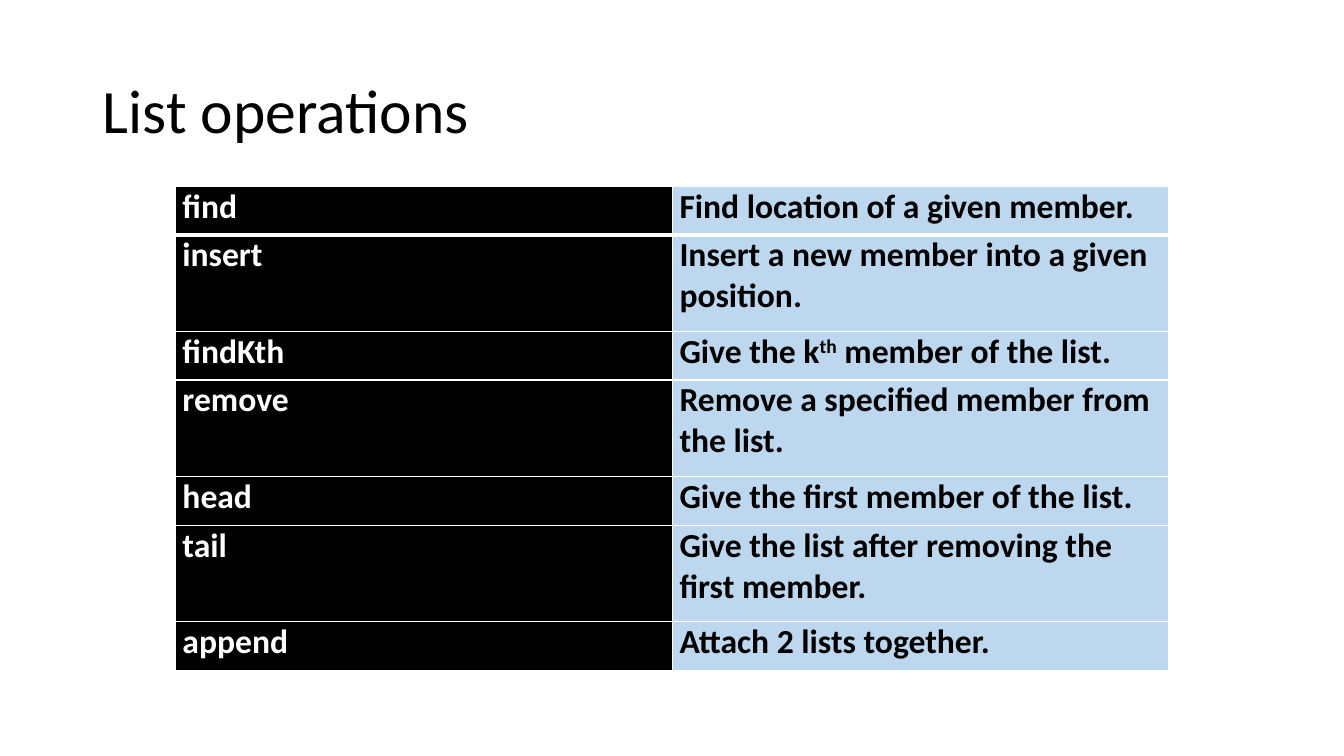
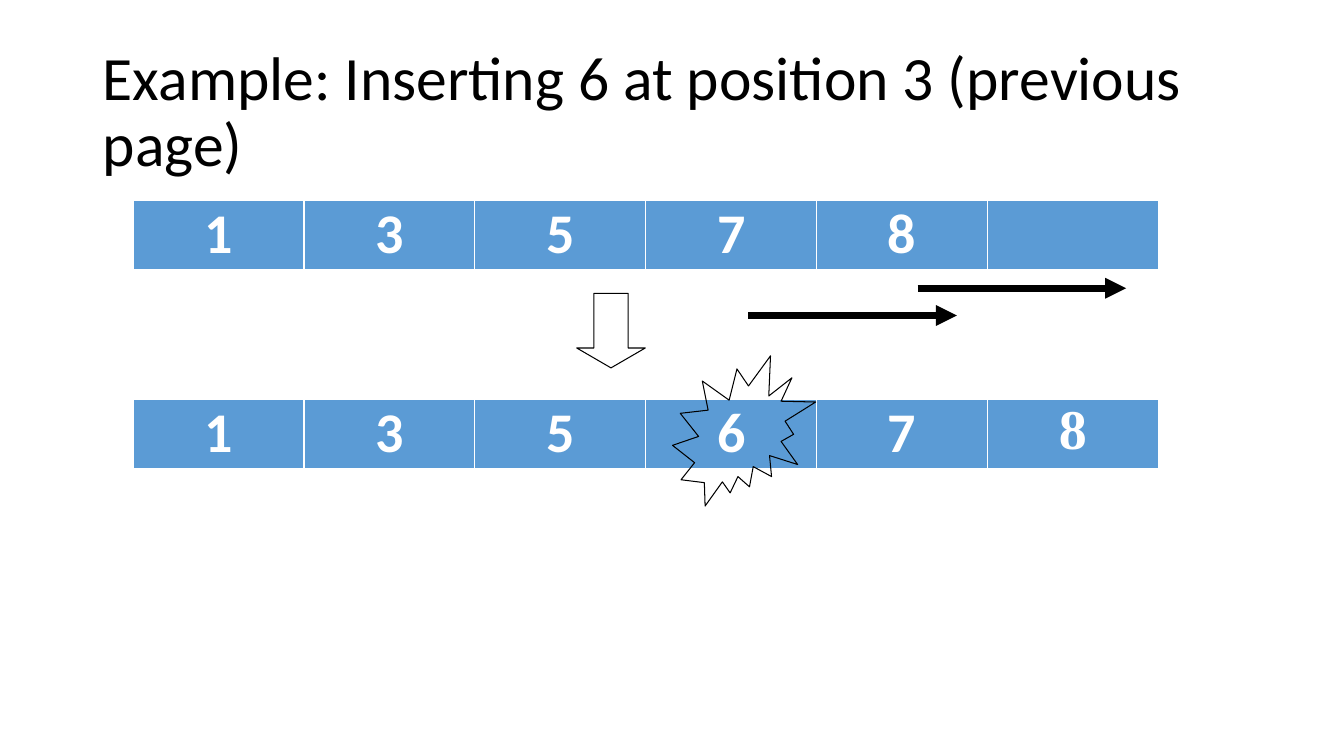
import pptx
import pptx.dml.color
import pptx.enum.dml
import pptx.enum.shapes
import pptx.enum.text
import pptx.oxml
import pptx.oxml.ns
import pptx.util

PX = 9144  # one px is a hundredth of an inch
BLACK, WHITE, BLUE, PALE_BLUE = "000000", "FFFFFF", "5B9BD5", "BDD7EE"
NAMESPACE = pptx.oxml.ns.nsdecls("a")
CENTER = pptx.enum.text.PP_ALIGN.CENTER
LEFT = pptx.enum.text.PP_ALIGN.LEFT


def color(hex_string):
    return pptx.dml.color.RGBColor.from_string(hex_string)


def add_grid(slide, left, top, widths, heights, cells, size, alignment):
    """Cells are rows of (text, fill, text colour, font); ^ marks encloses superscripts."""
    frame = slide.shapes.add_table(
        len(heights), len(widths), left * PX, top * PX, sum(widths), sum(heights))
    table = frame.table
    table.first_row = table.horz_banding = False
    for column, width in zip(table.columns, widths):
        column.width = width
    for row_index, (row, height) in enumerate(zip(table.rows, heights)):
        row.height = height
        for cell, (text, fill, text_color, font_name) in zip(row.cells, cells[row_index]):
            # White borders, heavier below the first row
            border_widths = {"L": 1, "R": 1, "T": 3 if row_index == 1 else 1,
                             "B": 3 if row_index == 0 else 1}
            properties = cell._tc.get_or_add_tcPr()
            for side, points in border_widths.items():
                properties.append(pptx.oxml.parse_xml(
                    f'<a:ln{side} {NAMESPACE} w="{pptx.util.Pt(points)}"><a:solidFill>'
                    f'<a:srgbClr val="{WHITE}"/></a:solidFill></a:ln{side}>'))
            cell.fill.solid()
            cell.fill.fore_color.rgb = color(fill)
            margins = {"margin_left": 7, "margin_right": 7, "margin_top": 0, "margin_bottom": 0}
            for name, value in margins.items():
                setattr(cell, name, value * PX)

            # Text, with every second part raised
            paragraph = cell.text_frame.paragraphs[0]
            paragraph.alignment = alignment
            for part_index, part in enumerate(text.split("^") if text else []):
                run = paragraph.add_run()
                run.text = part
                font_format = {"name": font_name, "size": pptx.util.Pt(size), "bold": True}
                for name, value in font_format.items():
                    setattr(run.font, name, value)
                run.font.color.rgb = color(text_color)
                if part_index % 2:
                    run._r.get_or_add_rPr().set("baseline", "30000")


presentation = pptx.Presentation()
presentation.slide_width = 1333 * PX
presentation.slide_height = 750 * PX

# Slides with their titles
slides = []
for title_text in ("List operations", "Example: Inserting 6 at position 3 (previous page)"):
    slide = presentation.slides.add_slide(presentation.slide_layouts[5])
    title = slide.shapes.title
    for name, value in {"left": 92, "top": 40, "width": 1150, "height": 145}.items():
        setattr(title, name, value * PX)
    title.text_frame.text = title_text
    frame_format = {
        "word_wrap": True,
        "auto_size": pptx.enum.text.MSO_AUTO_SIZE.NONE,
        "vertical_anchor": pptx.enum.text.MSO_ANCHOR.MIDDLE,
    }
    for name, value in frame_format.items():
        setattr(title.text_frame, name, value)
    paragraph = title.text_frame.paragraphs[0]
    paragraph.alignment = LEFT
    paragraph.line_spacing = 0.9
    for name, value in {"name": "Calibri", "size": pptx.util.Pt(44)}.items():
        setattr(paragraph.font, name, value)
    paragraph.font.color.rgb = color(BLACK)
    slides.append(slide)
operations_slide, example_slide = slides

# Slide 1: operations and their meaning, with the number of lines each needs
operations = [
    ("find", "Find location of a given member.", 1),
    ("insert", "Insert a new member into a given position.", 2),
    ("findKth", "Give the k^th^ member of the list.", 1),
    ("remove", "Remove a specified member from the list.", 2),
    ("head", "Give the first member of the list.", 1),
    ("tail", "Give the list after removing the first member.", 2),
    ("append", "Attach 2 lists together.", 1),
]
operation_cells = [
    [(name, BLACK, WHITE, "Calibri"), (meaning, PALE_BLUE, BLACK, "Calibri")]
    for name, meaning, lines in operations
]
row_heights = [lines * 48 * PX for name, meaning, lines in operations]
add_grid(operations_slide, 174, 185, [493 * PX, 492 * PX], row_heights,
         operation_cells, 24, LEFT)

# Slide 2: the list before and after the insertion
lists = [
    (199, ["1", "3", "5", "7", "8", ""], "Calibri"),
    (396, ["1", "3", "5", "6", "7", "8"], "Times New Roman"),
]
for top, members, last_font in lists:
    fonts = ["Calibri"] * 5 + [last_font]
    member_cells = [(member, BLUE, WHITE, font) for member, font in zip(members, fonts)]
    add_grid(example_slide, 132, top, [1017 * PX // 6] * 6, [70 * PX],
             [member_cells], 40, CENTER)

# Down arrow between the lists and burst around the new member
shape_types = pptx.enum.shapes.MSO_SHAPE
markers = [
    (shape_types.DOWN_ARROW, (572, 291, 68, 74), WHITE, {0: 0.5, 1: 0.29}),
    (shape_types.EXPLOSION2, (667, 353, 142, 149), None, {}),
]
for shape_type, box, fill, adjustments in markers:
    shape = example_slide.shapes.add_shape(shape_type, *(length * PX for length in box))
    shape.shadow.inherit = False
    for index, value in adjustments.items():
        shape.adjustments[index] = value
    if fill:
        shape.fill.solid()
        shape.fill.fore_color.rgb = color(fill)
    else:
        shape.fill.background()
    shape.line.color.rgb = color(BLACK)
    shape.line.width = pptx.util.Pt(0.75)

# Arrows for the members that move right
for left, top in ((910, 286), (742, 313)):
    arrow = example_slide.shapes.add_connector(
        pptx.enum.shapes.MSO_CONNECTOR.STRAIGHT,
        left * PX, top * PX, (left + 207) * PX, top * PX)
    arrow.line.color.rgb = color(BLACK)
    arrow.line.width = pptx.util.Pt(5)
    arrow.line._get_or_add_ln().append(
        pptx.oxml.parse_xml(f'<a:tailEnd {NAMESPACE} type="triangle"/>'))
    arrow._element.spPr.append(pptx.oxml.parse_xml(f"<a:effectLst {NAMESPACE}/>"))

presentation.save("out.pptx")
